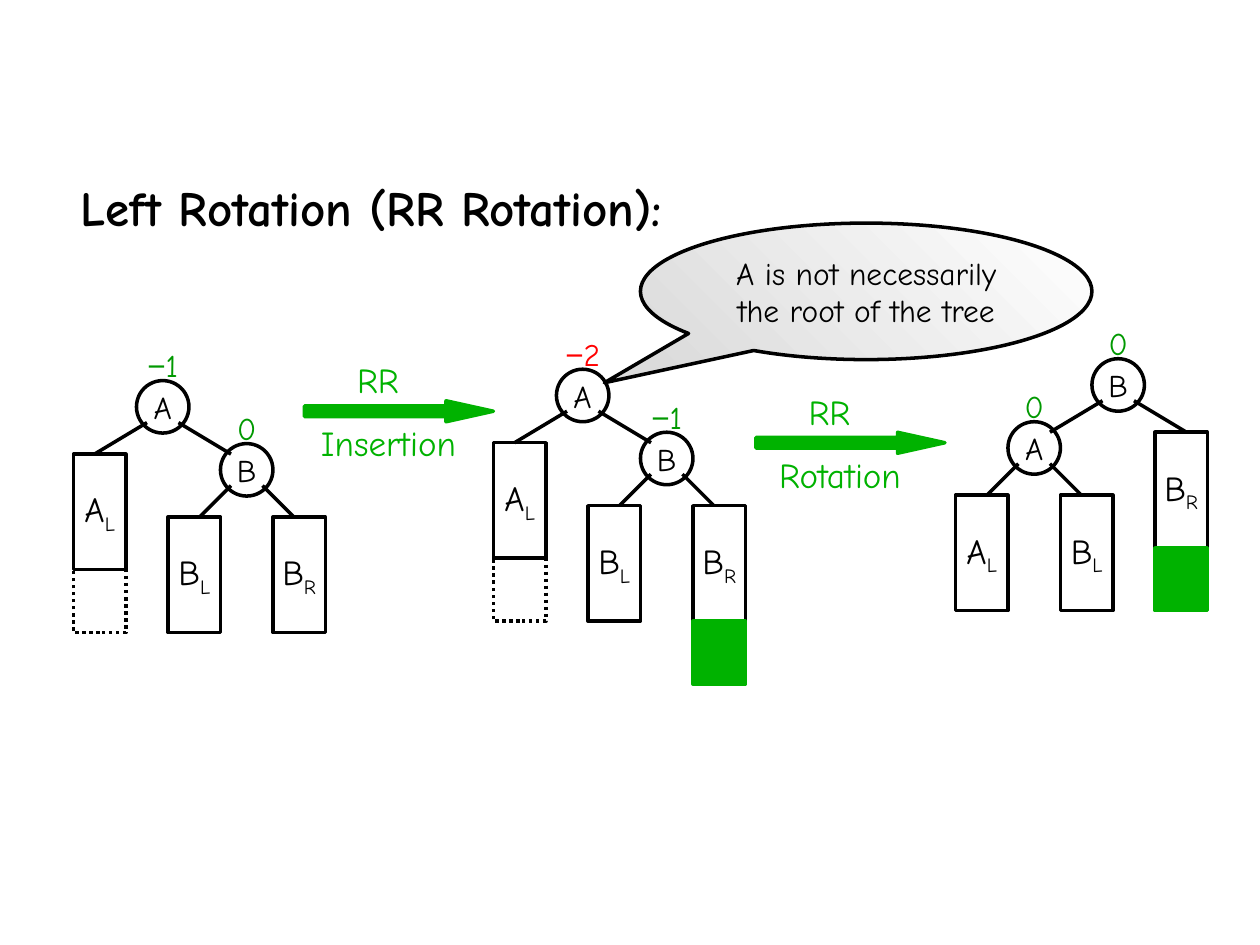
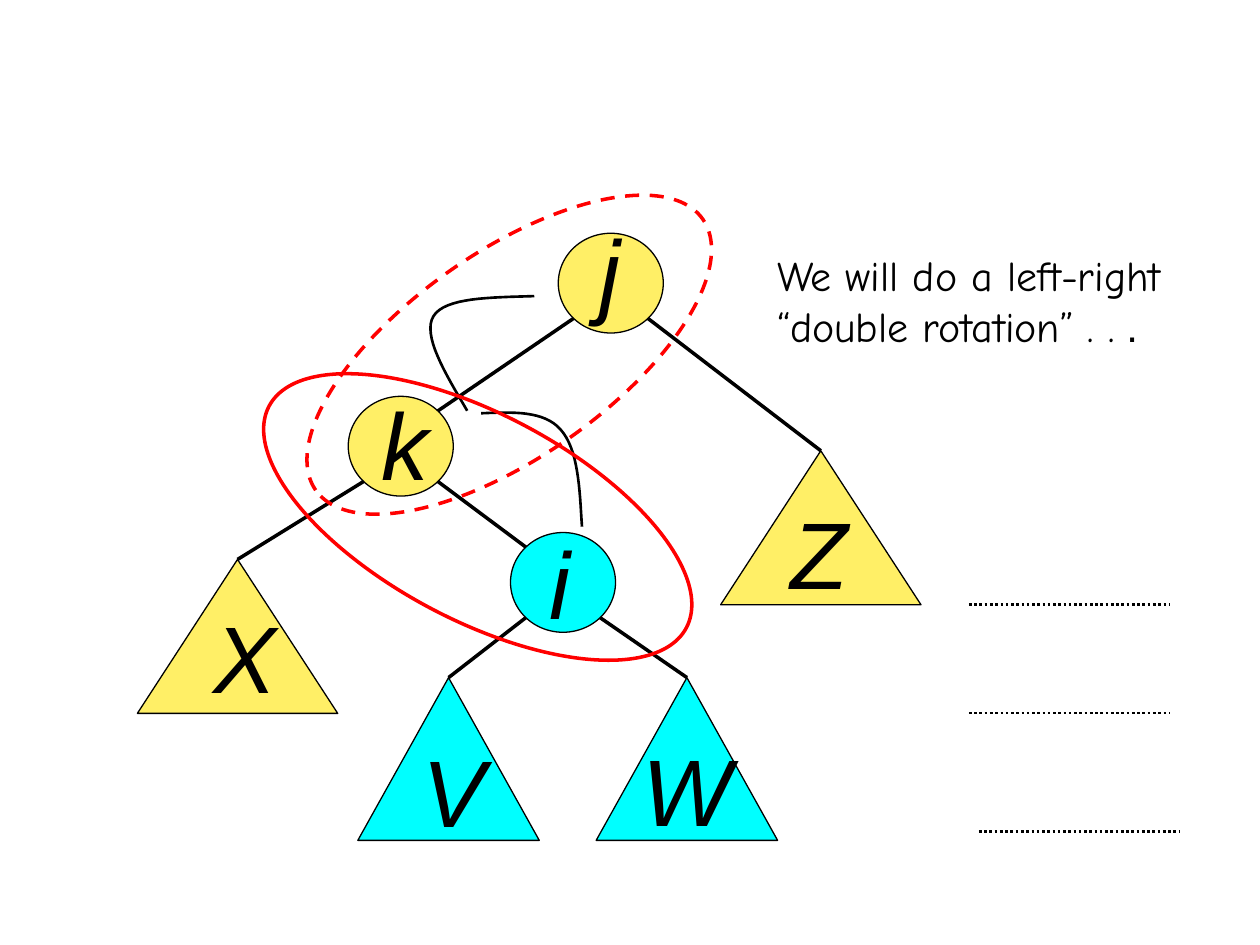
from dataclasses import dataclass
from math import sqrt
from typing import NamedTuple

from lxml import etree
from pptx import Presentation
from pptx.dml.color import RGBColor
from pptx.enum.dml import MSO_LINE
from pptx.enum.shapes import MSO_CONNECTOR, MSO_SHAPE
from pptx.enum.text import MSO_ANCHOR, PP_ALIGN
from pptx.oxml.ns import qn
from pptx.util import Pt

OVAL, RECT = MSO_SHAPE.OVAL, MSO_SHAPE.RECTANGLE
ARROW, WEDGE = MSO_SHAPE.RIGHT_ARROW, MSO_SHAPE.OVAL_CALLOUT
PEAK, LINE = MSO_SHAPE.ISOSCELES_TRIANGLE, MSO_CONNECTOR.STRAIGHT
DOT, DASH = MSO_LINE.ROUND_DOT, MSO_LINE.DASH
MID, TOP = MSO_ANCHOR.MIDDLE, MSO_ANCHOR.TOP
LEFT, CENTER = PP_ALIGN.LEFT, PP_ALIGN.CENTER


@dataclass(frozen=True)
class Theme:
    black: str = "000000"
    red: str = "FF0000"
    green: str = "00B200"
    count: str = "009900"
    yellow: str = "FFEF66"
    cyan: str = "00FFFF"
    gray: str = "DBDBDB"
    white: str = "FFFFFF"
    hand: str = "Comic Neue"
    sans: str = "Arial"
    small: float = 18
    body: float = 20
    note: float = 24
    title: float = 28
    huge: float = 54
    thin: float = 0.75
    mid: float = 1.5
    thick: float = 2


T = Theme()


class Box(NamedTuple):
    x: float
    y: float
    w: float
    h: float


class Bit(NamedTuple):
    text: str
    face: str | None = None
    sub: bool = False


class Font(NamedTuple):
    size: float
    color: str = T.black
    face: str = T.hand
    bold: bool = False
    slant: bool = False


class Pen(NamedTuple):
    width: float = T.thick
    color: str = T.black
    dash: MSO_LINE | None = None


class Tree(NamedTuple):
    """Root, its inner child, the root's outer box and the child's two boxes."""
    x: float
    y: float
    flip: bool
    nodes: tuple
    boxes: tuple
    dotted: tuple = ()
    added: tuple = ()


class Step(NamedTuple):
    x: float
    y: float
    word: str


class Leaf(NamedTuple):
    name: str
    box: Box
    fill: str
    text: tuple


# ---- Drawing helpers ----
def rgb(code: str) -> RGBColor:
    return RGBColor.from_string(code)


def ink(line, pen: Pen) -> None:
    line.width = Pt(pen.width)
    line.color.rgb = rgb(pen.color)
    if pen.dash is not None:
        line.dash_style = pen.dash


def dress(shape, fill: str | None, pen: Pen):
    shape.shadow.inherit = False
    if fill:
        shape.fill.solid()
        shape.fill.fore_color.rgb = rgb(fill)
    else:
        shape.fill.background()
    ink(shape.line, pen)
    return shape


def draw(slide, kind, box: Box, fill: str | None = None, pen: Pen = Pen()):
    return dress(slide.shapes.add_shape(kind, *map(Pt, box)), fill, pen)


def write(shape, rows: list, font: Font, align=CENTER, anchor=MID,
          pad: float = 0, wrap: bool = False) -> None:
    frame = shape.text_frame
    frame.word_wrap = wrap
    frame.vertical_anchor = anchor
    frame.margin_left = frame.margin_right = Pt(pad)
    frame.margin_top = frame.margin_bottom = Pt(3.6)
    for i, bits in enumerate(rows):
        para = frame.add_paragraph() if i else frame.paragraphs[0]
        para.alignment = align
        style = para.font
        style.size, style.name = Pt(font.size), font.face
        style.bold, style.italic = font.bold, font.slant
        style.color.rgb = rgb(font.color)
        for bit in bits:
            run = para.add_run()
            run.text = bit.text
            if bit.face:
                run.font.name = bit.face
            if bit.sub:
                run._r.get_or_add_rPr().set("baseline", "-25000")


def label(slide, box: Box, rows: list, font: Font, **look) -> None:
    write(slide.shapes.add_textbox(*map(Pt, box)), rows, font, **look)


def edge(slide, start: tuple, end: tuple, pen: Pen = Pen()):
    link = slide.shapes.add_connector(LINE, *map(Pt, (*start, *end)))
    ink(link.line, pen)
    etree.SubElement(link._element.spPr, qn("a:effectLst"))
    return link


def curve(slide, start: tuple, *arcs: tuple) -> None:
    """Trace chained cubic arcs, each given as two controls and an end."""
    dots, a = [], start
    for b, c, d in arcs:
        for i in range(1, 17):
            t = i / 16
            u = 1 - t
            mix = (u ** 3, 3 * u * u * t, 3 * u * t * t, t ** 3)
            dots.append(tuple(Pt(sum(m * p[k] for m, p in zip(mix, (a, b, c, d))))
                              for k in (0, 1)))
        a = d
    trace = slide.shapes.build_freeform(*map(Pt, start))
    trace.add_line_segments(dots, close=False)
    dress(trace.convert_to_shape(), None, Pen(T.mid))


# ---- Slide 1: left rotation ----
SIDE, TALL, STUB = 30, 66, 36
NODES = ((0, 0), (48, 36))
BOXES = ((-36, 42), (18, 78), (78, 78))
EDGES = (((24, 24), (54, 42)), ((6, 24), (-24, 42)),
         ((54, 60), (36, 78)), ((72, 60), (90, 78)))

TREES = (
    Tree(78, 217.5, False, (("A", "−1", T.count), ("B", "0", T.count)),
         ("AL", "BL", "BR"), dotted=(0,)),
    Tree(318, 211, False, (("A", "−2", T.red), ("B", "−1", T.count)),
         ("AL", "BL", "BR"), dotted=(0,), added=(2,)),
    Tree(624, 205, True, (("B", "0", T.count), ("A", "0", T.count)),
         ("BR", "BL", "AL"), added=(0,)),
)
STEPS = (Step(174, 229, "Insertion"), Step(432, 247, "Rotation"))


def grow(slide, tree: Tree) -> None:
    def place(spot: tuple, wide: float = SIDE) -> tuple:
        x = SIDE - wide - spot[0] if tree.flip else spot[0]
        return tree.x + x, tree.y + spot[1]

    for (name, count, color), spot in zip(tree.nodes, NODES):
        x, y = place(spot)
        node = draw(slide, OVAL, Box(x, y, SIDE, SIDE))
        write(node, [[Bit(name)]], Font(T.small))
        bits = [Bit(c, T.sans if c == "−" else None) for c in count]
        label(slide, Box(x, y - 18, SIDE, 18), [bits], Font(T.small, color))
    for start, end in EDGES:
        edge(slide, place(start, 0), place(end, 0))
    for i, (name, spot) in enumerate(zip(tree.boxes, BOXES)):
        x, y = place(spot)
        part = draw(slide, RECT, Box(x, y, SIDE, TALL))
        write(part, [[Bit(name[0]), Bit(name[1], sub=True)]], Font(T.body))
        below = Box(x, y + TALL, SIDE, STUB)
        if i in tree.dotted:
            draw(slide, RECT, below, pen=Pen(dash=DOT))
        if i in tree.added:
            draw(slide, RECT, below, T.green, Pen(color=T.green))


def rotate(slide) -> None:
    for step in STEPS:
        arrow = draw(slide, ARROW, Box(step.x, step.y, 108, 12), T.green,
                     Pen(color=T.green))
        arrow.adjustments[1] = 2.26
        for word, left, wide, drop in (("RR", 12, 60, -24),
                                       (step.word, 0, 96, 12)):
            label(slide, Box(step.x + left, step.y + drop, wide, 24),
                  [[Bit(word)]], Font(T.body, T.green))
    for tree in TREES:
        grow(slide, tree)

    # Callout
    call = draw(slide, WEDGE, Box(366, 127.5, 258, 78))
    call.adjustments[0], call.adjustments[1] = -0.58, 0.67
    call.fill.gradient()
    call.fill.gradient_angle = 45
    for stop, color in zip(call.fill.gradient_stops, (T.gray, T.white)):
        stop.color.rgb = rgb(color)
    write(call, [[Bit("A is not necessarily")], [Bit("the root of the tree")]],
          Font(T.small))

    label(slide, Box(46, 98, 446, 41), [[Bit("Left Rotation (RR Rotation):")]],
          Font(T.title, bold=True), align=LEFT, anchor=TOP, wrap=True)


# ---- Slide 2: double rotation ----
WIDE, HIGH = 60, 57
KNOTS = (
    Leaf("j", Box(319, 133.3, WIDE, HIGH), T.yellow, (335.5, 118)),
    Leaf("k", Box(199, 226.5, WIDE, HIGH), T.yellow, (211, 217)),
    Leaf("i", Box(291.7, 304.3, WIDE, HIGH), T.cyan, (306.7, 296.6)),
)
PEAKS = (
    Leaf("X", Box(78.5, 319.7, 114.5, 88), T.yellow, (115, 338.5)),
    Leaf("V", Box(204.5, 387.2, 103.7, 93), T.cyan, (234.5, 415.4)),
    Leaf("W", Box(340.7, 387.2, 103.7, 93), T.cyan, (360, 414.7)),
    Leaf("Z", Box(411.8, 257.6, 114.5, 88), T.yellow, (444.7, 279.4)),
)
LINKS = (("j", "k", -1), ("j", "Z", 1), ("k", "X", -1),
         ("k", "i", 1), ("i", "V", -1), ("i", "W", 1))
LEVELS = ((553.7, 345.6), (553.7, 407.5), (559.4, 475))
RINGS = ((138, 236.7, 28, None), (156, 144, 325, DASH))


def rim(box: Box, dx: int, dy: int) -> tuple:
    """Point on an oval's edge, on the diagonal given by the signs."""
    return (box.x + box.w / 2 * (1 + dx / sqrt(2)),
            box.y + box.h / 2 * (1 + dy / sqrt(2)))


def double(slide) -> None:
    knots = {leaf.name: leaf.box for leaf in KNOTS}
    peaks = {}
    for leaf in KNOTS + PEAKS:
        kind = OVAL if leaf.name in knots else PEAK
        shape = draw(slide, kind, leaf.box, leaf.fill, Pen(T.thin))
        if kind == PEAK:
            peaks[leaf.name] = shape
        label(slide, Box(*leaf.text, 36.7, 72), [[Bit(leaf.name)]],
              Font(T.huge, face=T.sans, slant=True),
              align=LEFT, anchor=TOP, pad=7.2, wrap=True)
    for up, down, way in LINKS:
        start = rim(knots[up], way, 1)
        if down in knots:
            edge(slide, start, rim(knots[down], -way, -1))
        else:
            edge(slide, start, start).end_connect(peaks[down], 0)
    for x, y in LEVELS:
        edge(slide, (x, y), (x + 114.5, y), Pen(T.mid, dash=DOT))

    label(slide, Box(437, 139.3, 243.4, 65),
          [[Bit("We will do a left-right")],
           [Bit("“double rotation” . ."), Bit(" .", T.sans)]],
          Font(T.note), align=LEFT, anchor=TOP, pad=7.2, wrap=True)

    # Turning paths and the two rotation rings
    curve(slide, (332.6, 301), ((331.2, 278.6), (330.5, 257), (320.4, 245.5)),
          ((311, 234.7), (293, 235.4), (275, 236.2)))
    curve(slide, (267, 234.7), ((254.2, 213), (241.2, 191.5), (247.7, 180.7)),
          ((254.2, 170), (280, 170), (305.3, 169.2)))
    for x, y, turn, dash in RINGS:
        ring = draw(slide, OVAL, Box(x, y, 270, 117.4),
                    pen=Pen(color=T.red, dash=dash))
        ring.rotation = turn


def main() -> None:
    deck = Presentation()
    deck.slide_width, deck.slide_height = Pt(720), Pt(540)
    for paint in (rotate, double):
        paint(deck.slides.add_slide(deck.slide_layouts[6]))
    deck.save("out.pptx")


if __name__ == "__main__":
    main()
